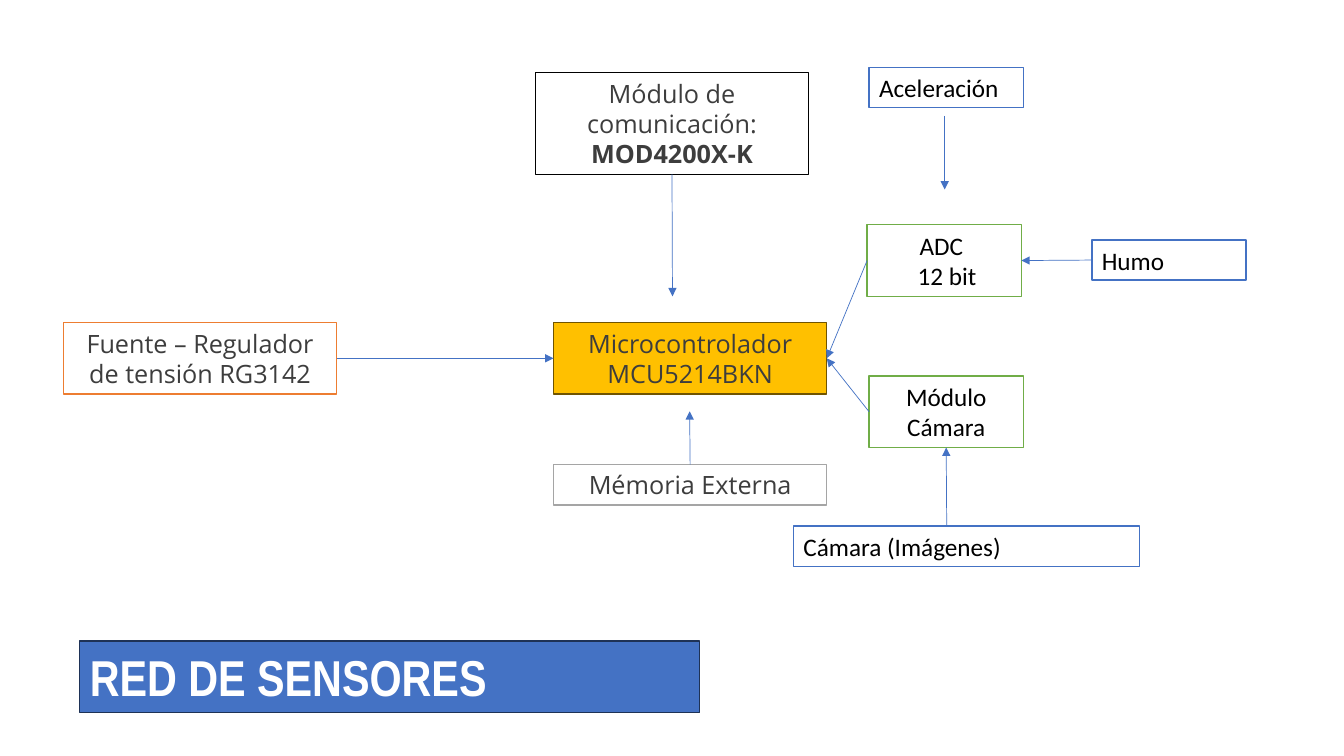
from lxml import etree
from pptx import Presentation
from pptx.dml.color import RGBColor
from pptx.enum.shapes import MSO_CONNECTOR, MSO_SHAPE
from pptx.enum.text import MSO_ANCHOR, MSO_AUTO_SIZE, PP_ALIGN
from pptx.oxml.ns import qn
from pptx.util import Inches, Pt

RECTANGLE = MSO_SHAPE.RECTANGLE
STRAIGHT = MSO_CONNECTOR.STRAIGHT
LEFT, CENTER = PP_ALIGN.LEFT, PP_ALIGN.CENTER
MIDDLE = MSO_ANCHOR.MIDDLE
NO_AUTOFIT = MSO_AUTO_SIZE.NONE
SIDE_TOP, SIDE_LEFT, SIDE_BOTTOM, SIDE_RIGHT = range(4)

COLORS = {
    "white": "FFFFFF", "black": "000000", "text": "3D3D3D",
    "blue": "4472C4", "navy": "1E3256", "green": "70AD47",
    "orange": "ED7D31", "gray": "A5A5A5", "gold": "FFC000", "brown": "705400",
}

# Box sizes: three widths, and a height for each number of text lines
SENSOR, MODULE, WIDE = 1.53, 2.71, 3.43
HEIGHTS = {1: 0.4, 2: 0.71, 3: 1.01}


def color(name):
    return RGBColor.from_string(COLORS[name])


def format_box(box, lines, fill, line, font, size, ink, align):
    """Fill and outline a box, and write one paragraph per line."""
    box.fill.solid()
    box.fill.fore_color.rgb = color(fill)
    box.line.color.rgb = color(line)
    box.line.width = Pt(1)
    frame = box.text_frame
    frame.word_wrap = True
    frame.auto_size = NO_AUTOFIT
    frame.vertical_anchor = MIDDLE
    frame.text = "\n".join(lines)
    for para in frame.paragraphs:
        para.alignment = align
        para.font.name = font
        para.font.size = Pt(size)
        para.font.color.rgb = color(ink)


deck = Presentation()
deck.slide_width, deck.slide_height = Inches(13.33), Inches(7.5)
page = deck.slides.add_slide(deck.slide_layouts[5])

# Title bar
title = page.shapes.title
title.left, title.top = Inches(0.79), Inches(6.36)
title.width, title.height = Inches(6.15), Inches(HEIGHTS[2])
format_box(title, ["RED DE SENSORES"], "blue", "navy",
           "Arial Narrow", 36, "white", LEFT)
title.text_frame.paragraphs[0].font.bold = True

# Blocks: name, left, top, width, text rows, paragraphs, fill, line, font, ink, alignment
sensor_style = ("white", "blue", "Calibri", "black", LEFT)
input_style = ("white", "green", "Calibri", "black", CENTER)
blocks = [
    ("acceleration", 8.62, 0.67, SENSOR, 1, ["Aceleración"], *sensor_style),
    ("smoke", 10.83, 2.38, SENSOR, 1, ["Humo"], *sensor_style),
    ("images", 7.87, 5.22, WIDE, 1, ["Cámara (Imágenes)"], *sensor_style),
    ("adc", 8.6, 2.23, SENSOR, 2, ["ADC ", " 12 bit"], *input_style),
    ("camera", 8.62, 3.73, SENSOR, 2, ["Módulo Cámara"], *input_style),
    ("controller", 5.49, 3.2, MODULE, 2, ["Microcontrolador", "MCU5214BKN"],
     "gold", "brown", "Open Sans", "text", CENTER),
    ("power", 0.63, 3.2, MODULE, 2, ["Fuente – Regulador de tensión RG3142"],
     "white", "orange", "Open Sans", "text", CENTER),
    ("radio", 5.31, 0.72, MODULE, 3, ["Módulo de comunicación:", "MOD4200X-K"],
     "white", "black", "Open Sans", "text", CENTER),
    ("memory", 5.49, 4.61, MODULE, 1, ["Mémoria Externa"],
     "white", "gray", "Open Sans", "text", CENTER),
]
boxes = {}
for name, left, top, width, rows, lines, fill, line, font, ink, align in blocks:
    box = page.shapes.add_shape(RECTANGLE, Inches(left), Inches(top),
                                Inches(width), Inches(HEIGHTS[rows]))
    box.shadow.inherit = False
    format_box(box, lines, fill, line, font, 18, ink, align)
    boxes[name] = box
boxes["radio"].text_frame.paragraphs[-1].font.bold = True

# Arrows: each end is a (block, side) pair or a free (x, y) point
arrows = [
    ((9.37, 1.15), (9.37, 1.88)),
    (("smoke", SIDE_LEFT), ("adc", SIDE_RIGHT)),
    ((9.39, 5.22), ("camera", SIDE_BOTTOM)),
    (("adc", SIDE_LEFT), ("controller", SIDE_RIGHT)),
    (("camera", SIDE_LEFT), ("controller", SIDE_RIGHT)),
    (("power", SIDE_RIGHT), ("controller", SIDE_LEFT)),
    (("radio", SIDE_BOTTOM), (6.67, 2.94)),
    (("memory", SIDE_TOP), (6.84, 4.08)),
]
for start, end in arrows:
    arrow = page.shapes.add_connector(STRAIGHT, 0, 0, 0, 0)
    if start[0] in boxes:
        arrow.begin_connect(boxes[start[0]], start[1])
    else:
        arrow.begin_x, arrow.begin_y = Inches(start[0]), Inches(start[1])
    if end[0] in boxes:
        arrow.end_connect(boxes[end[0]], end[1])
    else:
        arrow.end_x, arrow.end_y = Inches(end[0]), Inches(end[1])
    arrow.line.color.rgb = color("blue")
    arrow.line.width = Pt(0.5)
    # Arrowhead at the end, no shadow
    etree.SubElement(arrow.line._get_or_add_ln(), qn("a:tailEnd"), type="triangle")
    etree.SubElement(arrow._element.spPr, qn("a:effectLst"))

deck.save("out.pptx")
